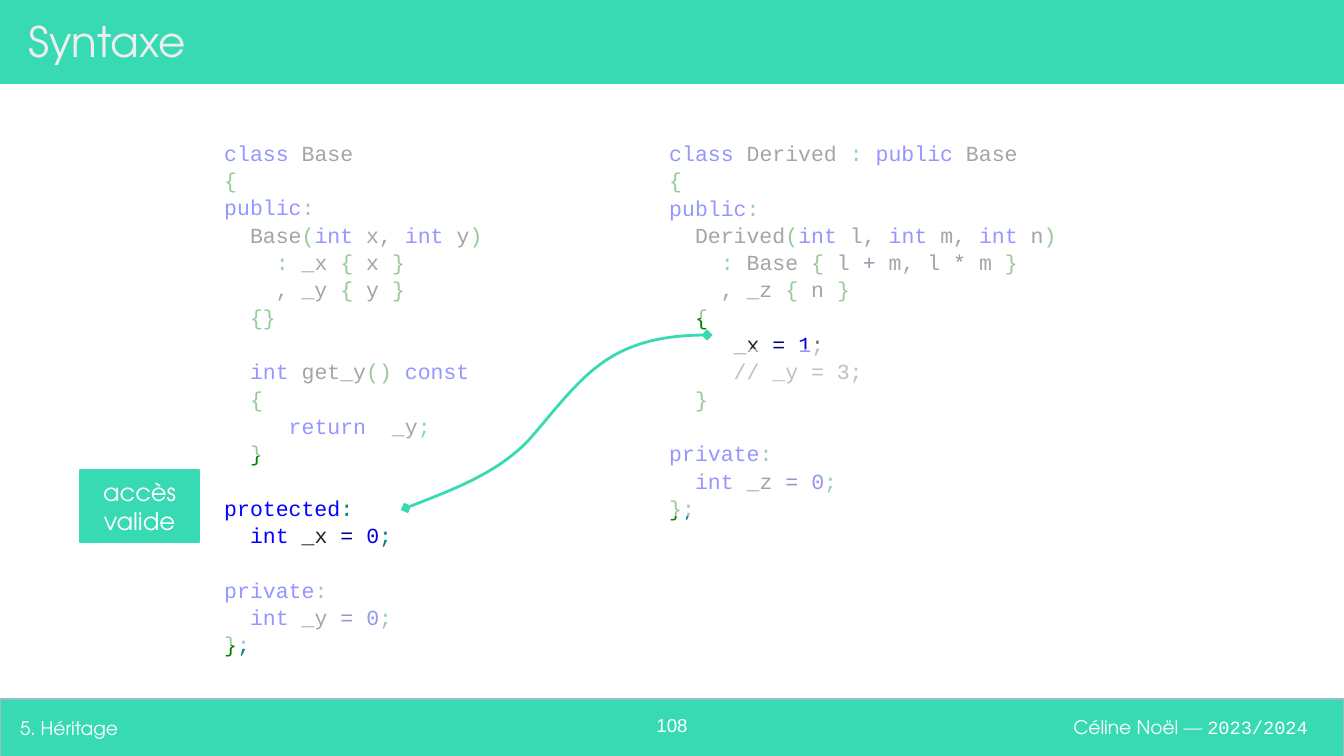
from lxml import etree
from pptx import Presentation
from pptx.dml.color import RGBColor
from pptx.enum.shapes import MSO_SHAPE
from pptx.enum.text import MSO_ANCHOR, PP_ALIGN
from pptx.oxml.ns import qn
from pptx.util import Emu, Pt

RECT, PROCESS = MSO_SHAPE.RECTANGLE, MSO_SHAPE.FLOWCHART_PROCESS
TOP, MIDDLE = MSO_ANCHOR.TOP, MSO_ANCHOR.MIDDLE
LEFT, CENTER, RIGHT = PP_ALIGN.LEFT, PP_ALIGN.CENTER, PP_ALIGN.RIGHT
PX = 914400 / 134.4
SANS, MONO = "TeX Gyre Adventor", "Courier New"
COLORS = {
    "mint": "38DAB3", "edge": "93C0C5", "white": "FFFFFF", "title": "EEEEEE",
    "dash": "E2EEFF", "key": "0000FF", "ink": "212529", "punct": "008080",
    "brace": "008000", "sign": "000040", "equal": "000080", "digit": "0000DD",
    "note": "666666",
}
RGB = {name: RGBColor.from_string(code) for name, code in COLORS.items()}

# Colour of each code token; any other token is ink
TONES = {
    **dict.fromkeys("class public private protected int const return".split(), "key"),
    **dict.fromkeys(":;", "punct"),
    **dict.fromkeys(["{", "}", "{}", "(", ")", "()"], "brace"),
    **dict.fromkeys("+*", "sign"), "=": "equal",
    **dict.fromkeys("01", "digit"),
}

# Code lines: | parts the tokens, # marks a grey token
BASE = """class| Base
{
public|:
  Base|(|int| x, |int| y|)
    |:| _x |{| x |}
    , _y |{| y |}
  |{}
 
  |int| get_y|() |const
  |{
     |return|  _y|;
  |}
 
protected|:
  |int| _x |= |0|;
 
private|:
  |int| _y |= |0|;
}|;"""
DERIVED = """class| Derived |: |public| Base
{
public|:
  Derived|(|int| l, |int| m, |int| n|)
    |:| Base |{| l |+ |m, l |* |m |}
    , _z |{| n |}
  |{
     _x |= |1|#;
     |#// _y = 3;
  |}
 
private|:
  |int| _z |= |0|;
}|;"""

prs = Presentation()
prs.slide_width, prs.slide_height = Emu(round(1344 * PX)), Emu(round(756 * PX))
slide = prs.slides.add_slide(prs.slide_layouts[5])
shapes = slide.shapes


def block(kind, box, fill, line=None, width=1.5):
    shape = shapes.add_shape(kind, *[round(v * PX) for v in box])
    shape.shadow.inherit = False
    shape.fill.solid()
    shape.fill.fore_color.rgb = RGB[fill]
    if line:
        shape.line.color.rgb = RGB[line]
        shape.line.width = Pt(width)
    else:
        shape.line.fill.background()
    return shape


def label(shape, text, size, font=SANS, color="white", align=LEFT, anchor=MIDDLE):
    frame = shape.text_frame
    frame.margin_left = frame.margin_right = Pt(7.2)
    frame.margin_top = frame.margin_bottom = Pt(7.2)
    frame.word_wrap = True
    frame.vertical_anchor = anchor
    para = frame.paragraphs[0]
    para.text = text
    para.alignment = align
    para.font.size, para.font.name = Pt(size), font
    para.font.color.rgb = RGB[color]
    return para


# Bars
block(RECT, (0, 699, 1344, 59), "mint", "edge", 0.75)
block(RECT, (0, 0, 1344, 84), "mint")

# Title, in front of its bar
title = shapes.title
shapes._spTree.append(title._element)
title.left, title.top, title.width, title.height = [
    round(v * PX) for v in (15, 8, 1274, 65)]
label(title, "Syntaxe", 22.5, color="title")

# Footer
for box, text, font, align, anchor in (
    ((7, 699, 610, 59), "5. Héritage", SANS, LEFT, MIDDLE),
    ((632, 703, 80, 48), "108", "Arial", CENTER, TOP),
    ((965, 698, 356, 59), "Céline Noël ", SANS, RIGHT, MIDDLE),
):
    foot = shapes.add_textbox(*[round(v * PX) for v in box])
    para = label(foot, text, 10, font, align=align, anchor=anchor)
dash = para.add_run()
dash.text = "— "
dash.font.color.rgb = RGB["dash"]
year = para.add_run()
year.text = "2023/2024"
year.font.name = MONO

# Code
for box, code in (((656, 125, 448, 391), DERIVED), ((211, 125, 344, 521), BASE)):
    frame = shapes.add_textbox(*[round(v * PX) for v in box]).text_frame
    frame.word_wrap = True
    frame.margin_left = frame.margin_right = Pt(7.2)
    frame.margin_top = frame.margin_bottom = Pt(7.2)
    for i, row in enumerate(code.split("\n")):
        para = frame.add_paragraph() if i else frame.paragraphs[0]
        para.line_spacing = 1.06
        para.font.size, para.font.name = Pt(11.5), MONO
        for token in row.split("|"):
            run = para.add_run()
            run.text = token.lstrip("#")
            tone = "note" if token.startswith("#") else TONES.get(token.strip(), "ink")
            run.font.color.rgb = RGB[tone]

# Veils over the code that is not in focus
for box in ((660, 112, 403, 206), (169, 125, 351, 331),
            (188, 550, 351, 95), (656, 349, 403, 167)):
    veil = block(RECT, box, "white")
    tint = veil._element.spPr.find(qn("a:solidFill"))[0]
    etree.SubElement(tint, qn("a:alpha"), val="59000")

# Curve from the member to its use: each three points make one Bézier
pen = shapes.build_freeform(406, 508, scale=PX)
pen.add_line_segments([
    (449, 491), (496, 474), (528, 441),
    (552, 414), (574, 383), (602, 363),
    (633, 341), (671, 335), (707, 335)], close=False)
curve = pen.convert_to_shape()
curve.shadow.inherit = False
curve.fill.background()
curve.line.color.rgb = RGB["mint"]
curve.line.width = Pt(1.5)
trace = next(curve._element.iter(qn("a:path")))
for i, step in enumerate(trace.findall(qn("a:lnTo"))):
    if i % 3 == 0:
        bend = etree.SubElement(trace, qn("a:cubicBezTo"))
    bend.append(step[0])
    trace.remove(step)
for end in ("a:headEnd", "a:tailEnd"):
    etree.SubElement(curve.line._get_or_add_ln(), qn(end), type="diamond")

# Badge
badge = block(PROCESS, (80, 470, 119, 72), "mint", "mint")
label(badge, "accès\vvalide", 13, align=CENTER)

prs.save("out.pptx")
